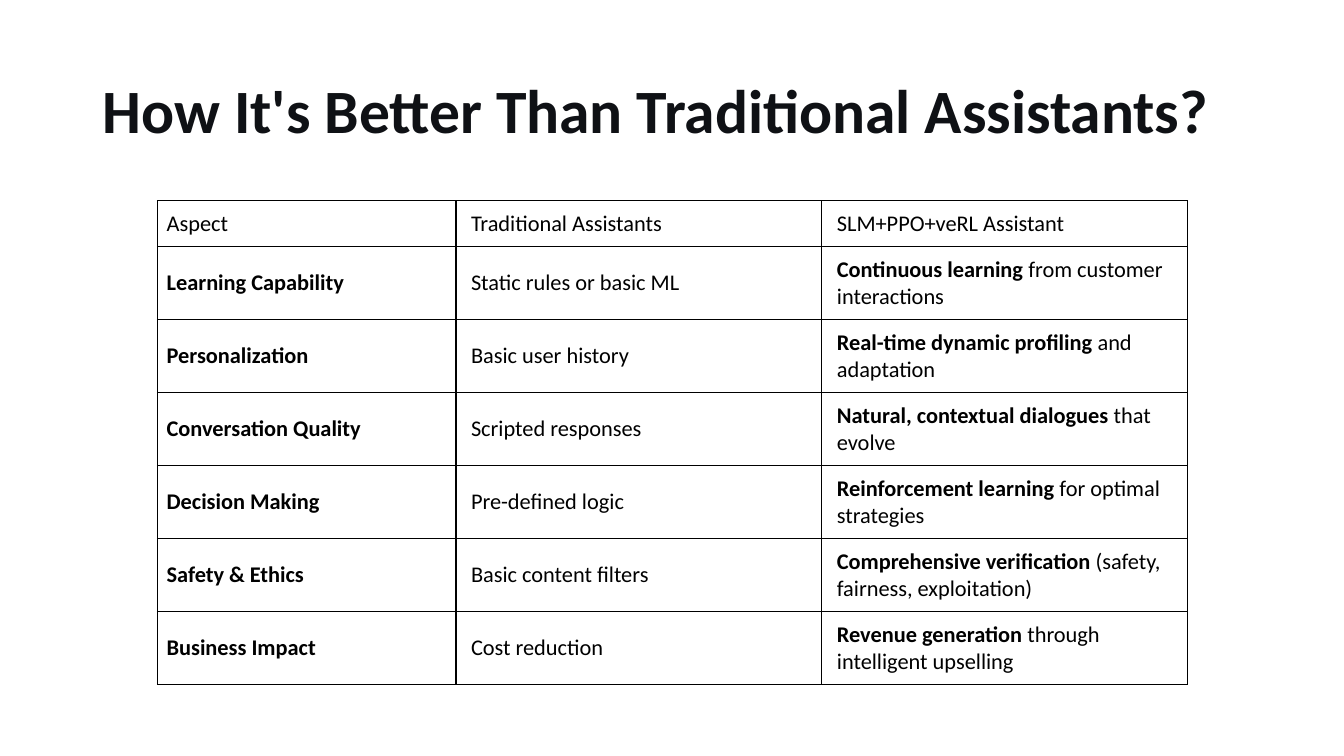
from dataclasses import dataclass

import lxml.etree
import pptx
import pptx.dml.color
import pptx.enum.text
import pptx.oxml.ns
import pptx.slide
import pptx.table
import pptx.util
from pptx.util import Cm, Pt

FONT = "Calibri"
TITLE_COLOR = pptx.dml.color.RGBColor(0x0F, 0x11, 0x15)
BLACK = pptx.dml.color.RGBColor(0, 0, 0)

COLUMN_WIDTHS = (Cm(7.52), Cm(9.22), Cm(9.22))
HEADER_HEIGHT = Cm(1.15)
ROW_HEIGHT = Cm(1.83)
NARROW_INSET = Cm(0.23)
WIDE_INSET = Cm(0.38)
SIDE_INSETS = (
    (NARROW_INSET, WIDE_INSET),
    (WIDE_INSET, WIDE_INSET),
    (WIDE_INSET, NARROW_INSET),
)
HEADINGS = ("Aspect", "Traditional Assistants", "SLM+PPO+veRL Assistant")


@dataclass(frozen=True)
class Span:
    text: str
    bold: bool = False


@dataclass(frozen=True)
class Comparison:
    aspect: str
    traditional: str
    strength: str
    detail: str

    def cells(self) -> list[list[Span]]:
        return [
            [Span(self.aspect, True)],
            [Span(self.traditional)],
            [Span(self.strength, True), Span(f" {self.detail}")],
        ]


COMPARISONS = (
    Comparison("Learning Capability", "Static rules or basic ML",
               "Continuous learning", "from customer interactions"),
    Comparison("Personalization", "Basic user history",
               "Real-time dynamic profiling", "and adaptation"),
    Comparison("Conversation Quality", "Scripted responses",
               "Natural, contextual dialogues", "that evolve"),
    Comparison("Decision Making", "Pre-defined logic",
               "Reinforcement learning", "for optimal strategies"),
    Comparison("Safety & Ethics", "Basic content filters",
               "Comprehensive verification", "(safety, fairness, exploitation)"),
    Comparison("Business Impact", "Cost reduction",
               "Revenue generation", "through intelligent upselling"),
)


def add_borders(cell: pptx.table._Cell) -> None:
    properties = cell._tc.get_or_add_tcPr()
    qn = pptx.oxml.ns.qn
    for side in ("lnL", "lnR", "lnT", "lnB"):
        line = lxml.etree.SubElement(properties, qn(f"a:{side}"), w=str(Pt(1)))
        fill = lxml.etree.SubElement(line, qn("a:solidFill"))
        lxml.etree.SubElement(fill, qn("a:srgbClr"), val=str(BLACK))


def fill_cell(cell: pptx.table._Cell, spans: list[Span],
              insets: tuple[pptx.util.Length, pptx.util.Length]) -> None:
    add_borders(cell)
    cell.fill.background()
    cell.vertical_anchor = pptx.enum.text.MSO_ANCHOR.MIDDLE
    cell.margin_left, cell.margin_right = insets
    cell.margin_top = cell.margin_bottom = NARROW_INSET
    paragraph = cell.text_frame.paragraphs[0]
    paragraph.font.name = FONT
    paragraph.font.size = Pt(16)
    paragraph.font.color.rgb = BLACK
    for span in spans:
        run = paragraph.add_run()
        run.text = span.text
        run.font.name = FONT
        run.font.size = Pt(16)
        run.font.color.rgb = BLACK
        run.font.bold = span.bold


def format_title(page: pptx.slide.Slide) -> None:
    title = page.shapes.title
    title.left, title.top = Cm(2.33), Cm(1.01)
    title.width, title.height = Cm(29.21), Cm(3.68)
    frame = title.text_frame
    frame.text = "How It's Better Than Traditional Assistants?"
    frame.auto_size = pptx.enum.text.MSO_AUTO_SIZE.NONE
    frame.vertical_anchor = pptx.enum.text.MSO_ANCHOR.MIDDLE
    paragraph = frame.paragraphs[0]
    paragraph.alignment = pptx.enum.text.PP_ALIGN.LEFT
    paragraph.line_spacing = 0.9
    paragraph.font.name = FONT
    paragraph.font.size = Pt(44)
    paragraph.font.bold = True
    paragraph.font.color.rgb = TITLE_COLOR


def add_comparison_table(page: pptx.slide.Slide) -> None:
    rows = [[[Span(heading)] for heading in HEADINGS]]
    rows += [comparison.cells() for comparison in COMPARISONS]
    height = HEADER_HEIGHT + ROW_HEIGHT * len(COMPARISONS)
    table = page.shapes.add_table(
        len(rows), len(HEADINGS), Cm(3.97), Cm(5.06), sum(COLUMN_WIDTHS), height
    ).table
    table.first_row = table.horz_banding = False
    for column, width in zip(table.columns, COLUMN_WIDTHS):
        column.width = width
    for index, cells in enumerate(rows):
        table.rows[index].height = ROW_HEIGHT if index else HEADER_HEIGHT
        for cell, spans, insets in zip(table.rows[index].cells, cells, SIDE_INSETS):
            fill_cell(cell, spans, insets)


def main() -> None:
    deck = pptx.Presentation()
    deck.slide_width, deck.slide_height = Cm(33.87), Cm(19.05)
    page = deck.slides.add_slide(deck.slide_layouts.get_by_name("Title Only"))
    format_title(page)
    add_comparison_table(page)
    deck.save("out.pptx")


if __name__ == "__main__":
    main()
